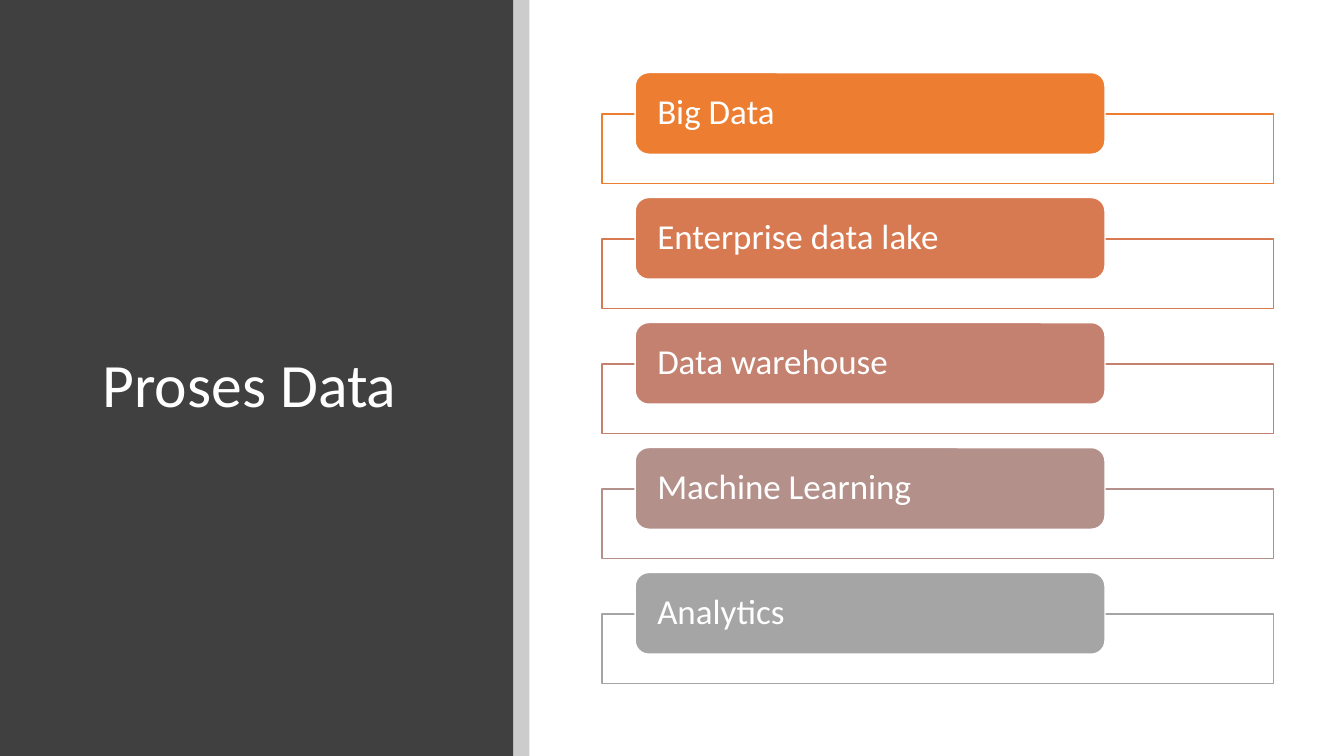
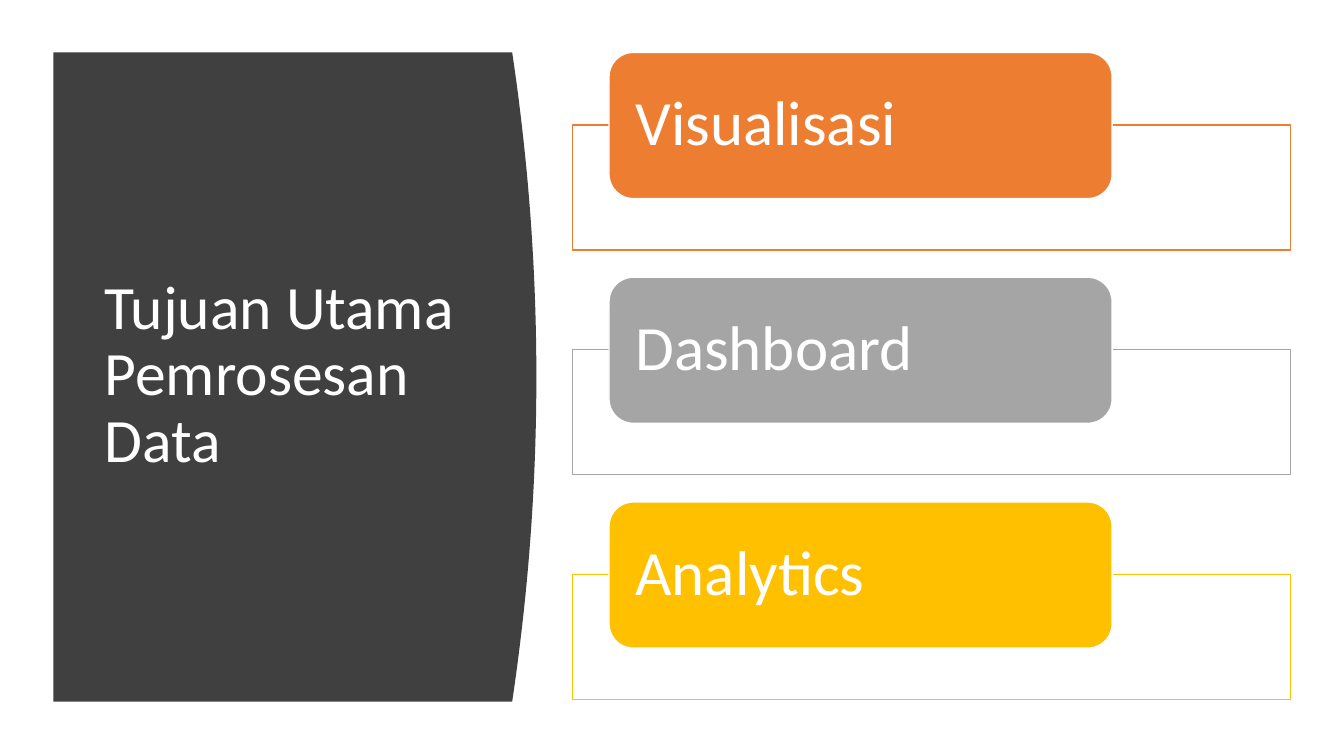
import dataclasses
import typing

import lxml.etree
import pptx
import pptx.dml.color
import pptx.enum.shapes
import pptx.enum.text
import pptx.oxml.ns
import pptx.shapes.autoshape
import pptx.slide
import pptx.util

Inches = pptx.util.Inches
Shape = pptx.shapes.autoshape.Shape
Kind = pptx.enum.shapes.MSO_SHAPE


@dataclasses.dataclass(frozen=True)
class Theme:
    font: str = "Calibri"
    title_size: int = 44
    line_spacing: float = 0.9
    line_width: float = 1
    white: str = "FFFFFF"
    black: str = "000000"
    panel: str = "404040"
    orange: str = "ED7D31"
    copper: str = "D87A51"
    clay: str = "C48170"
    mauve: str = "B4908B"
    grey: str = "A5A5A5"
    gold: str = "FFC000"


THEME = Theme()


class Area(typing.NamedTuple):
    left: float
    top: float
    width: float
    height: float

    def lowered(self, distance: float) -> "Area":
        return self._replace(top=self.top + distance)

    def lengths(self) -> list[int]:
        return [Inches(value) for value in self]


class Item(typing.NamedTuple):
    label: str
    color: str


@dataclasses.dataclass(frozen=True)
class LabelList:
    frame: Area
    label: Area
    pitch: float
    inset: float
    text_size: int
    items: tuple[Item, ...]


# Shared formatting
def rgb(color: str) -> pptx.dml.color.RGBColor:
    return pptx.dml.color.RGBColor.from_string(color)


def apply(target: object, values: dict[str, object]) -> None:
    for name, value in values.items():
        setattr(target, name, value)


def paint(shape: Shape, fill: str, line: str | None = None, opacity: int = 100) -> None:
    shape.shadow.inherit = False
    shape.fill.solid()
    shape.fill.fore_color.rgb = rgb(fill)
    if opacity < 100:
        color = shape.element.spPr.find(pptx.oxml.ns.qn("a:solidFill"))[0]
        alpha = lxml.etree.SubElement(color, pptx.oxml.ns.qn("a:alpha"))
        alpha.set("val", str(opacity * 1000))
    if line:
        shape.line.color.rgb = rgb(line)
        shape.line.width = pptx.util.Pt(THEME.line_width)
    else:
        shape.line.fill.background()


def write(shape: Shape, text: str, size: int, **margins: int) -> None:
    frame = shape.text_frame
    apply(frame, {"word_wrap": True,
                  "vertical_anchor": pptx.enum.text.MSO_ANCHOR.MIDDLE, **margins})
    para = frame.paragraphs[0]
    apply(para, {"alignment": pptx.enum.text.PP_ALIGN.LEFT,
                 "line_spacing": THEME.line_spacing})
    span = para.add_run()
    span.text = text
    apply(span.font, {"name": THEME.font, "size": pptx.util.Pt(size)})
    span.font.color.rgb = rgb(THEME.white)


# Slide parts
def add_box(page: pptx.slide.Slide, kind: Kind, area: Area, fill: str,
            line: str | None = None, opacity: int = 100) -> Shape:
    box = page.shapes.add_shape(kind, *area.lengths())
    paint(box, fill, line, opacity)
    return box


def add_title(page: pptx.slide.Slide, text: str, area: Area) -> None:
    write(page.shapes.add_textbox(*area.lengths()), text, THEME.title_size)


def add_curved_panel(page: pptx.slide.Slide, area: Area, bulge: float,
                     steps: int = 44) -> None:
    """Draw a panel whose right edge bows outward as a parabola."""
    edge = area.left + area.width - bulge
    bottom = area.top + area.height
    points = []
    for step in range(steps + 1):
        part = step / steps
        points.append((edge + bulge * 4 * part * (1 - part),
                       area.top + area.height * part))
    points.append((area.left, bottom))
    builder = page.shapes.build_freeform(Inches(area.left), Inches(area.top))
    builder.add_line_segments([(Inches(x), Inches(y)) for x, y in points], close=True)
    paint(builder.convert_to_shape(), THEME.panel)


def add_label_list(page: pptx.slide.Slide, labels: LabelList) -> None:
    for index, item in enumerate(labels.items):
        drop = index * labels.pitch
        add_box(page, Kind.RECTANGLE, labels.frame.lowered(drop),
                THEME.white, item.color, opacity=90)
        box = add_box(page, Kind.ROUNDED_RECTANGLE, labels.label.lowered(drop),
                      item.color, THEME.white)
        write(box, item.label, labels.text_size,
              margin_left=Inches(labels.inset), margin_right=Inches(labels.inset),
              margin_top=0, margin_bottom=0)


# Content
PROCESS = LabelList(
    frame=Area(5.97, 1.13, 6.66, 0.69), label=Area(6.3, 0.72, 4.66, 0.81),
    pitch=1.24, inset=0.18, text_size=25,
    items=(Item("Big Data", THEME.orange),
           Item("Enterprise data lake", THEME.copper),
           Item("Data warehouse", THEME.clay),
           Item("Machine Learning", THEME.mauve),
           Item("Analytics", THEME.grey)))

GOALS = LabelList(
    frame=Area(5.68, 1.24, 7.12, 1.24), label=Area(6.04, 0.52, 4.99, 1.45),
    pitch=2.23, inset=0.19, text_size=45,
    items=(Item("Visualisasi", THEME.orange),
           Item("Dashboard", THEME.grey),
           Item("Analytics", THEME.gold)))


def build_process(page: pptx.slide.Slide) -> None:
    panel = Area(0, 0, 5.09, 7.5)
    add_box(page, Kind.RECTANGLE, panel, THEME.panel)
    add_title(page, "Proses Data", Area(0.92, 0.89, 3.65, 5.91))
    add_box(page, Kind.RECTANGLE, Area(panel.width, 0, 0.16, panel.height),
            THEME.black, opacity=20)
    add_label_list(page, PROCESS)


def build_goals(page: pptx.slide.Slide) -> None:
    add_curved_panel(page, Area(0.53, 0.52, 4.79, 6.44), bulge=0.24)
    add_title(page, "Tujuan Utama Pemrosesan Data", Area(0.94, 1.11, 3.74, 5.24))
    add_label_list(page, GOALS)


def main() -> None:
    deck = pptx.Presentation()
    apply(deck, {"slide_width": Inches(13.33), "slide_height": Inches(7.5)})
    blank = deck.slide_layouts[6]
    for build in (build_process, build_goals):
        build(deck.slides.add_slide(blank))
    deck.save("out.pptx")


if __name__ == "__main__":
    main()
